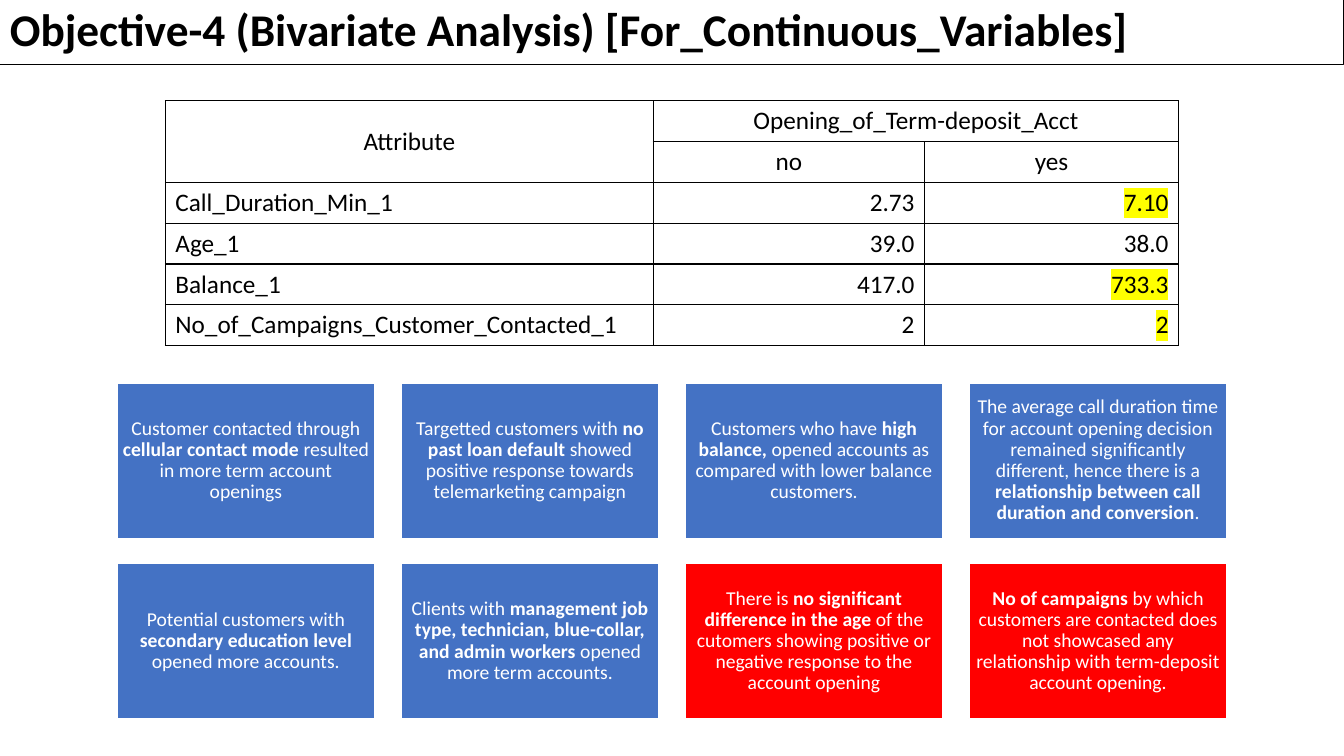
from lxml import etree
from pptx import Presentation
from pptx.dml.color import RGBColor
from pptx.enum.shapes import MSO_SHAPE
from pptx.enum.text import MSO_ANCHOR, PP_ALIGN
from pptx.oxml.ns import qn
from pptx.util import Inches, Pt

LEFT, CENTER, RIGHT = PP_ALIGN.LEFT, PP_ALIGN.CENTER, PP_ALIGN.RIGHT
MIDDLE = MSO_ANCHOR.MIDDLE
RECTANGLE = MSO_SHAPE.RECTANGLE

FONT = "Calibri"
BLACK, WHITE, YELLOW = "000000", "FFFFFF", "FFFF00"
BLUE, RED = "4472C4", "FF0000"

TITLE = "Objective-4 (Bivariate Analysis) [For_Continuous_Variables]"

ATTRIBUTES = [
    ("Attribute", "Opening_of_Term-deposit_Acct", ""),
    ("", "no", "yes"),
    ("Call_Duration_Min_1", "2.73", "7.10"),
    ("Age_1", "39.0", "38.0"),
    ("Balance_1", "417.0", "733.3"),
    ("No_of_Campaigns_Customer_Contacted_1", "2", "2"),
]
HEADER_ROWS = 2
HIGHLIGHTED = {(2, 2), (4, 2), (5, 2)}
COLUMN_WIDTHS = (4.84, 2.69, 2.52)
ROW_HEIGHT = 2.43 / len(ATTRIBUTES)

# Fill, then plain, bold and plain text
FINDINGS = [
    (BLUE, "Customer contacted through ", "cellular contact mode ",
     "resulted in more term account openings"),
    (BLUE, "Targetted customers with ", "no past loan default",
     " showed positive response towards telemarketing campaign"),
    (BLUE, "Customers who have ", "high balance, ",
     "opened accounts as compared with lower balance customers."),
    (BLUE, "The average call duration time for account opening decision remained "
     "significantly different, hence there is a ",
     "relationship between call duration and conversion", "."),
    (BLUE, "Potential customers with ", "secondary education level ",
     "opened more accounts."),
    (BLUE, "Clients with ",
     "management job type, technician, blue-collar, and admin workers",
     " opened more term accounts."),
    (RED, "There is ", "no significant difference in the age ",
     "of the cutomers showing positive or negative response to the account opening"),
    (RED, "", "No of campaigns ",
     "by which customers are contacted does not showcased any relationship "
     "with term-deposit account opening."),
]
CARDS_PER_ROW = 4
CARD_LEFT, CARD_TOP = 1.16, 3.8
CARD_WIDTH, CARD_HEIGHT = 2.56, 1.54
CARD_STEP_X, CARD_STEP_Y = 2.817, 1.79


def rgb(color):
    return RGBColor.from_string(color)


def style(paragraph, size, color, align):
    paragraph.alignment = align
    paragraph.font.name = FONT
    paragraph.font.size = Pt(size)
    paragraph.font.color.rgb = rgb(color)


def add_color(parent, color):
    etree.SubElement(parent, qn("a:srgbClr"), val=color)


def add_borders(cell):
    properties = cell._tc.get_or_add_tcPr()
    for position, side in enumerate(("a:lnL", "a:lnR", "a:lnT", "a:lnB")):
        border = etree.Element(qn(side), w=str(Pt(1)))
        add_color(etree.SubElement(border, qn("a:solidFill")), BLACK)
        properties.insert(position, border)


def add_title(slide):
    title = slide.shapes.add_textbox(0, 0, Inches(13.33), Inches(0.64))
    title.line.color.rgb = rgb(BLACK)
    title.line.width = Pt(0.75)
    frame = title.text_frame
    frame.word_wrap = True
    frame.vertical_anchor = MIDDLE
    heading = frame.paragraphs[0]
    heading.text = TITLE
    heading.line_spacing = 0.9
    style(heading, 32.4, BLACK, LEFT)
    heading.font.bold = True


def add_attribute_table(slide):
    table = slide.shapes.add_table(
        len(ATTRIBUTES), len(COLUMN_WIDTHS), Inches(1.64), Inches(1),
        Inches(sum(COLUMN_WIDTHS)), Inches(ROW_HEIGHT * len(ATTRIBUTES))).table
    table.first_row = table.horz_banding = False
    for column, width in zip(table.columns, COLUMN_WIDTHS):
        column.width = Inches(width)
    for r, values in enumerate(ATTRIBUTES):
        table.rows[r].height = Inches(ROW_HEIGHT)
        for c, value in enumerate(values):
            cell = table.cell(r, c)
            cell.fill.background()
            add_borders(cell)
            entry = cell.text_frame.paragraphs[0]
            align = CENTER if r < HEADER_ROWS else RIGHT if c else LEFT
            style(entry, 18, BLACK, align)
            if value:
                run = entry.add_run()
                run.text = value
                if (r, c) in HIGHLIGHTED:
                    properties = run._r.get_or_add_rPr()
                    add_color(etree.SubElement(properties, qn("a:highlight")), YELLOW)
    attribute = table.cell(0, 0)
    attribute.merge(table.cell(1, 0))
    attribute.vertical_anchor = MIDDLE
    table.cell(0, 1).merge(table.cell(0, 2))


def add_finding(slide, index, fill, *parts):
    row, column = divmod(index, CARDS_PER_ROW)
    card = slide.shapes.add_shape(
        RECTANGLE, Inches(CARD_LEFT + column * CARD_STEP_X),
        Inches(CARD_TOP + row * CARD_STEP_Y), Inches(CARD_WIDTH), Inches(CARD_HEIGHT))
    card.shadow.inherit = False
    card.fill.solid()
    card.fill.fore_color.rgb = rgb(fill)
    card.line.color.rgb = rgb(WHITE)
    card.line.width = Pt(1)
    frame = card.text_frame
    frame.word_wrap = True
    frame.vertical_anchor = MIDDLE
    frame.margin_left = frame.margin_right = Inches(0.06)
    frame.margin_top = frame.margin_bottom = Inches(0.06)
    finding = frame.paragraphs[0]
    finding.line_spacing = 0.9
    style(finding, 14, WHITE, CENTER)
    for part, bold in zip(parts, (False, True, False)):
        if part:
            run = finding.add_run()
            run.text = part
            run.font.bold = bold


def main():
    deck = Presentation()
    deck.slide_width, deck.slide_height = Inches(13.33), Inches(7.5)
    slide = deck.slides.add_slide(deck.slide_layouts[6])
    add_title(slide)
    add_attribute_table(slide)
    for index, finding in enumerate(FINDINGS):
        add_finding(slide, index, *finding)
    deck.save("out.pptx")


if __name__ == "__main__":
    main()
